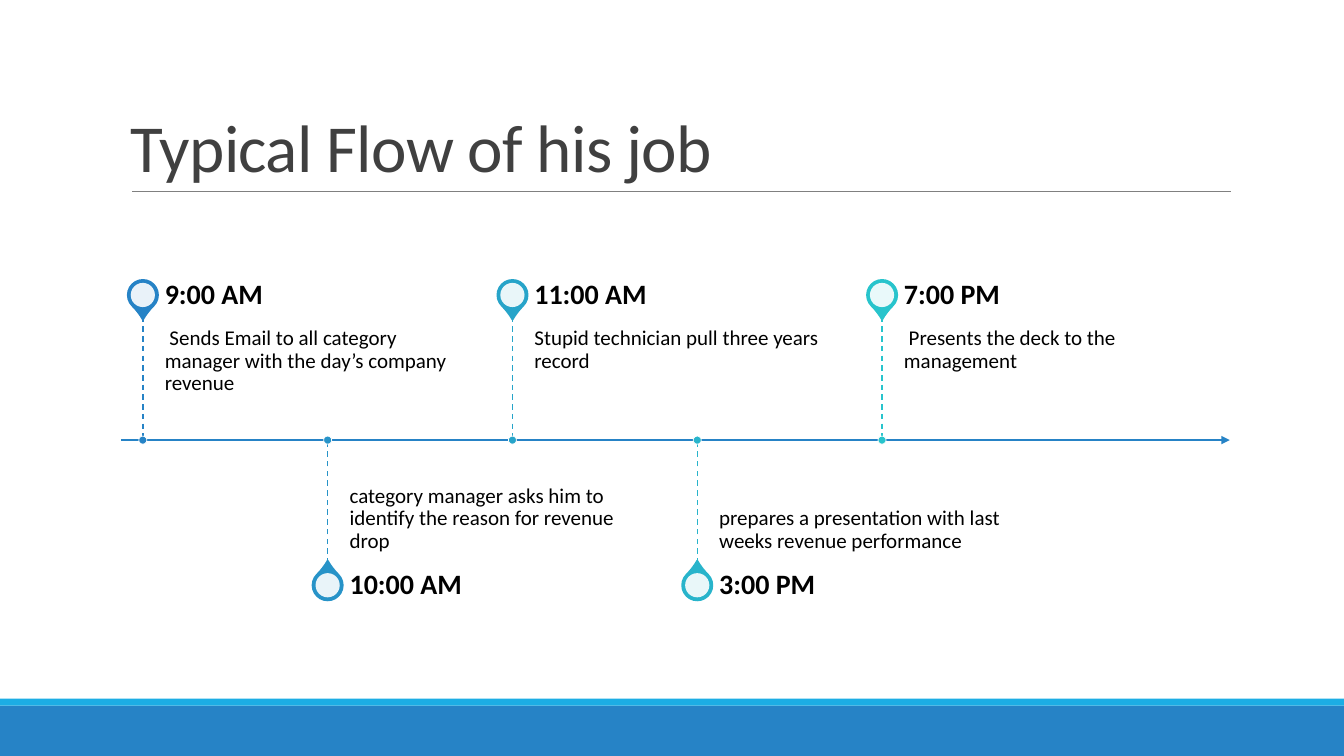
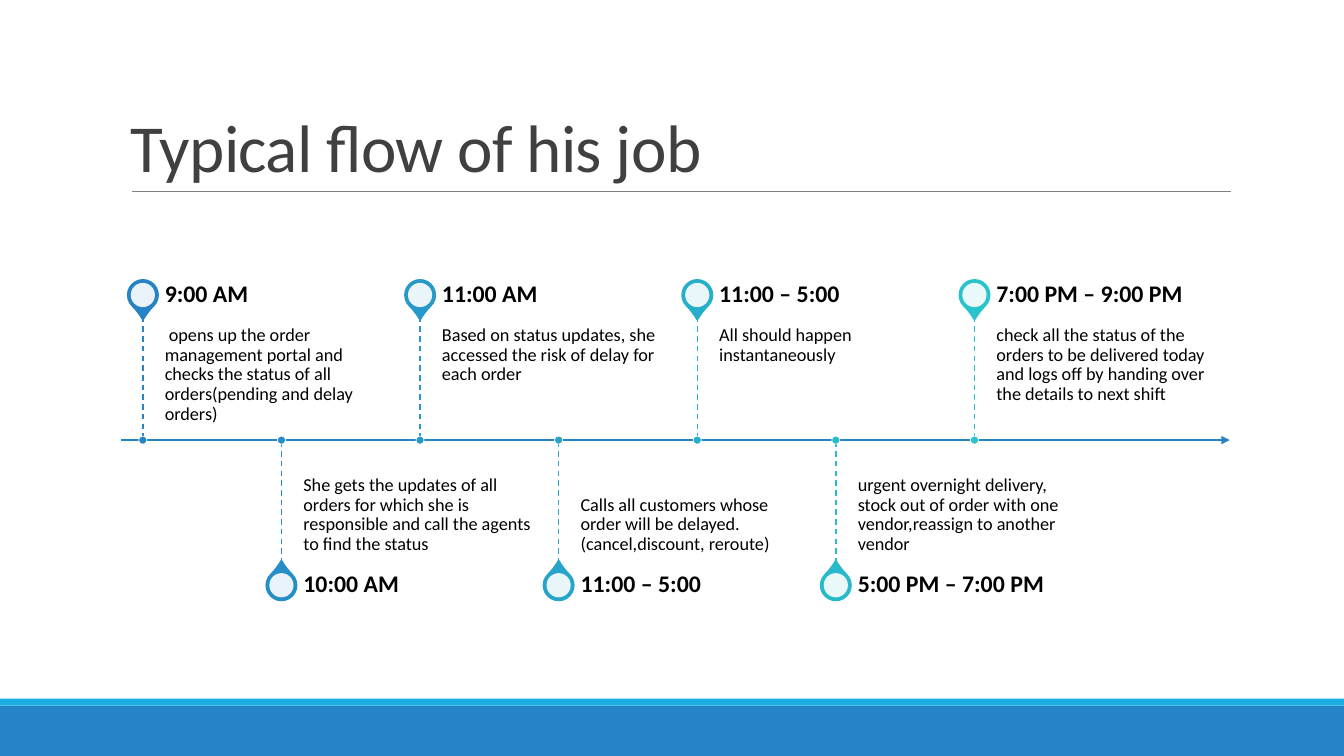
"""Build two slides that show a working day as a timeline of pins."""
from lxml.etree import SubElement as Sub
from pptx import Presentation
from pptx.dml.color import RGBColor as Rgb
from pptx.enum.dml import MSO_LINE as Dash
from pptx.enum.shapes import MSO_CONNECTOR as Conn, MSO_SHAPE as Kind
from pptx.enum.text import MSO_ANCHOR as Anchor
from pptx.oxml.ns import qn
from pptx.util import Emu, Inches, Pt

INK = {"band": "2683C6", "strip": "1CADE4", "rule": "808080",
       "title": "404040", "text": "000000", "white": "FFFFFF",
       "first": "2683C6", "last": "28C4CC"}
FONT = "Calibri"
WIDE, HIGH = Inches(13.33), Inches(7.5)
LEFT, SPAN = 9, 82.5
AXIS, ARM, HEAD = 58.22, 16.33, 5.73
GAP = 1.63
PIN, EYE, DOT = 4, 3.2, 1.07

DAYS = [
    ("Typical Flow of his job", 20, 15, [
        ("9:00 AM", " Sends Email to all category manager with the day’s company revenue"),
        ("10:00 AM", "category manager asks him to identify the reason for revenue drop"),
        ("11:00 AM", "Stupid technician pull three years record"),
        ("3:00 PM", "prepares a presentation with last weeks revenue performance"),
        ("7:00 PM", " Presents the deck to the management"),
    ]),
    ("Typical flow of his job", 17, 13, [
        ("9:00 AM", " opens up the order management portal and checks the status "
                    "of all orders(pending and delay orders)"),
        ("10:00 AM", "She gets the updates of all orders for which she is responsible "
                     "and call the agents to find the status"),
        ("11:00 AM", "Based on status updates, she accessed the risk of delay for each order"),
        ("11:00 – 5:00", "Calls all customers whose order will be delayed."
                         "(cancel,discount, reroute)"),
        ("11:00 – 5:00", "All should happen instantaneously"),
        ("5:00 PM – 7:00 PM", "urgent overnight delivery, stock out of order with one "
                              "vendor,reassign to another vendor"),
        ("7:00 PM – 9:00 PM", "check all the status of the orders to be delivered today "
                              "and logs off by handing over the details to next shift"),
    ]),
]


def col(share):
    return Emu(round(WIDE * share / 100))


def row(share):
    return Emu(round(HIGH * share / 100))


def blend(part):
    ends = zip(bytes.fromhex(INK["first"]), bytes.fromhex(INK["last"]))
    return bytes(int(a + (b - a) * part + 0.5) for a, b in ends).hex().upper()


def shape(slide, kind, box, fill, edge=None, width=0):
    item = slide.shapes.add_shape(kind, *box)
    item.shadow.inherit = False
    item.fill.solid()
    item.fill.fore_color.rgb = Rgb.from_string(fill)
    if edge:
        item.line.color.rgb = Rgb.from_string(edge)
        item.line.width = Pt(width)
    else:
        item.line.fill.background()
    return item


def disc(slide, kind, x, y, size, *style):
    side = row(size)
    box = (col(x) - side // 2, row(y) - side // 2, side, side)
    return shape(slide, kind, box, *style)


def line(slide, start, end, ink, width):
    item = slide.shapes.add_connector(
        Conn.STRAIGHT, col(start[0]), row(start[1]), col(end[0]), row(end[1]))
    item.line.color.rgb = Rgb.from_string(ink)
    item.line.width = Pt(width)
    Sub(item._element.spPr, qn("a:effectLst"))
    return item


def text(slide, box, words, size, ink, anchor, pads, pitch=0.9, bold=False):
    x, y, w, h = box
    frame = slide.shapes.add_textbox(col(x), row(y), col(w), row(h)).text_frame
    frame.word_wrap = True
    frame.vertical_anchor = anchor
    (frame.margin_left, frame.margin_top,
     frame.margin_right, frame.margin_bottom) = [Pt(pad) for pad in pads]
    frame.text = words
    para = frame.paragraphs[0]
    para.line_spacing = pitch
    run = para.runs[0]
    run.font.name, run.font.size, run.font.bold = FONT, Pt(size), bold
    run.font.color.rgb = Rgb.from_string(ink)
    return run


def base(slide, title):
    shape(slide, Kind.RECTANGLE, (0, row(93.33), WIDE, row(6.67)), INK["band"])
    shape(slide, Kind.RECTANGLE, (0, row(92.4), WIDE, row(0.93)), INK["strip"])
    line(slide, (9.83, 25.33), (91.6, 25.33), INK["rule"], 0.5)
    run = text(slide, (LEFT, 4.13, SPAN, 21.2), title, 48, INK["title"],
               Anchor.BOTTOM, (7.2, 3.6, 7.2, 3.6), 0.85)
    run.font._element.set("spc", "-50")


def pin(slide, x, y, ink, turn):
    drop = disc(slide, Kind.TEAR, x, y, PIN, ink, ink, 1.25)
    drop.adjustments[0] = 1.15
    drop.rotation = turn
    eye = disc(slide, Kind.OVAL, x, y, EYE, INK["white"])
    tint = eye._element.spPr.find(qn("a:solidFill"))[0]
    Sub(tint, qn("a:alpha"), val="90000")


def event(slide, x, width, above, ink, hour, note, big, small):
    near, far = small * 0.5, small * 0.78
    if above:
        tip, top, turn = AXIS - ARM, AXIS - ARM, 135
        head = tip - HEAD
        anchor, pads = Anchor.TOP, (0, near, near, far)
    else:
        tip, top, turn = AXIS + ARM, AXIS, 315
        head = tip
        anchor, pads = Anchor.BOTTOM, (0, far, 0, near)
    pin(slide, x, head + HEAD / 2, ink, turn)
    text(slide, (x + GAP, top, width, ARM), note, small, INK["text"], anchor, pads)
    text(slide, (x + GAP, head, width, HEAD), hour, big, INK["text"],
         Anchor.MIDDLE, (0, 0, big / 2, 0), bold=True)
    stem = line(slide, (x, tip), (x, AXIS), ink, 1)
    stem.line.dash_style = Dash.DASH
    disc(slide, Kind.OVAL, x, AXIS, DOT, ink, INK["white"], 0.5)


def flow(slide, big, small, events):
    axis = line(slide, (LEFT, AXIS), (LEFT + SPAN, AXIS), INK["band"], 1.5)
    Sub(axis.line._get_or_add_ln(), qn("a:tailEnd"), type="triangle")
    step = SPAN / (len(events) + 1)
    for i, (hour, note) in enumerate(events):
        ink = blend(i / (len(events) - 1))
        event(slide, LEFT + GAP + i * step, step * 5 / 3, i % 2 == 0,
              ink, hour, note, big, small)


def main():
    deck = Presentation()
    deck.slide_width, deck.slide_height = WIDE, HIGH
    for title, big, small, events in DAYS:
        slide = deck.slides.add_slide(deck.slide_layouts[6])
        base(slide, title)
        flow(slide, big, small, events)
    deck.save("out.pptx")


if __name__ == "__main__":
    main()
